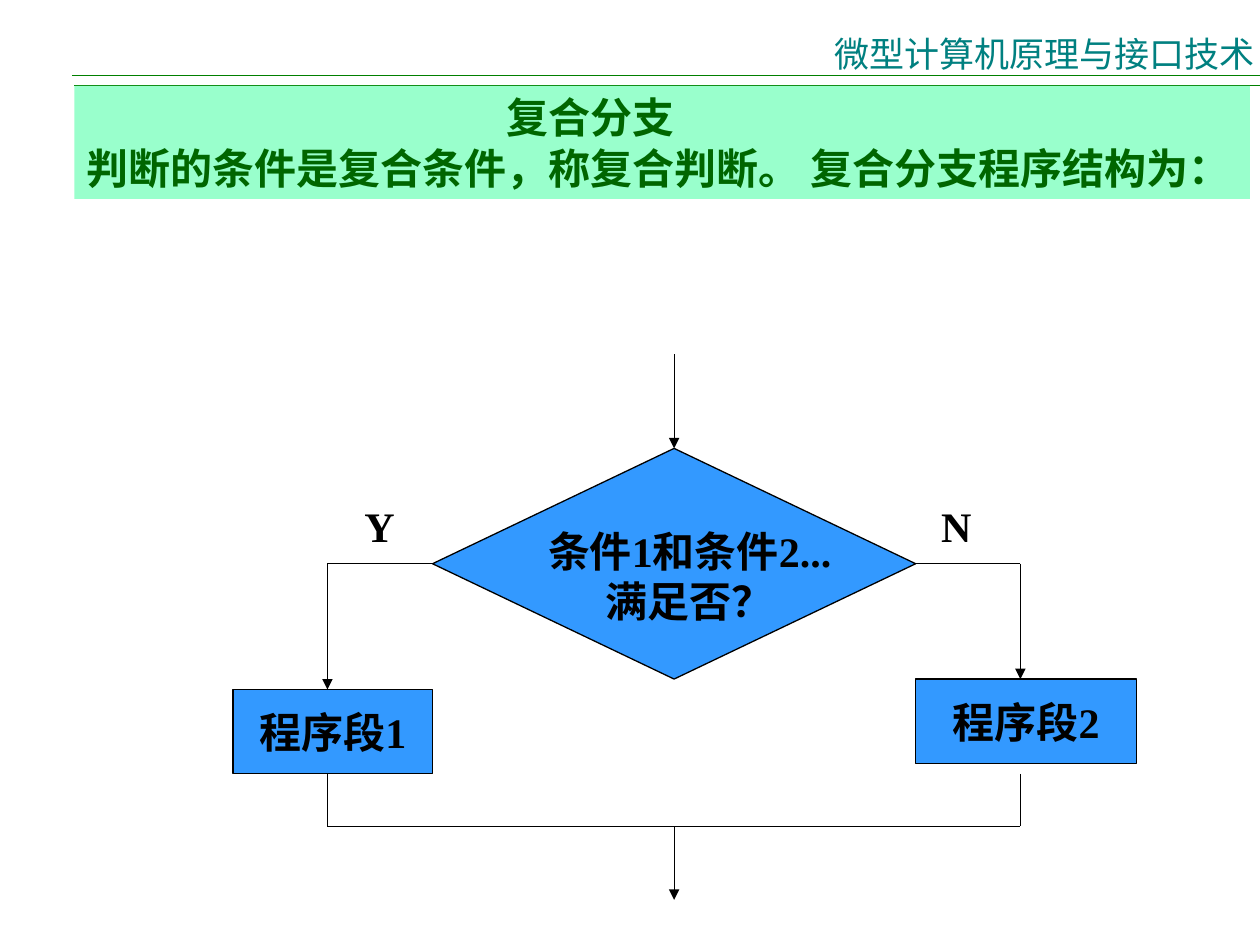
from lxml.etree import SubElement
from pptx import Presentation
from pptx.dml.color import RGBColor
from pptx.enum.shapes import MSO_CONNECTOR, MSO_SHAPE
from pptx.enum.text import MSO_ANCHOR, PP_ALIGN
from pptx.oxml.ns import qn
from pptx.util import Cm, Pt

BLACK = RGBColor(0x00, 0x00, 0x00)
BLUE = RGBColor(0x33, 0x99, 0xFF)
MINT = RGBColor(0x99, 0xFF, 0xCC)
DARK_GREEN = RGBColor(0x00, 0x66, 0x00)
GREEN = RGBColor(0x00, 0x80, 0x00)
TEAL = RGBColor(0x00, 0x80, 0x80)
CHINESE_FONT = "Noto Sans CJK SC"
LATIN_FONT = "Times New Roman"

presentation = Presentation()
presentation.slide_width = Cm(25.4)
presentation.slide_height = Cm(19.05)
slide = presentation.slides.add_slide(presentation.slide_layouts[6])


def add_block(text, left, top, width, height, kind=MSO_SHAPE.RECTANGLE, fill=None,
              outline=None, size=24, color=BLACK, bold=True, font=LATIN_FONT,
              align=PP_ALIGN.CENTER, anchor=MSO_ANCHOR.MIDDLE, wrap=False,
              side_margin=0.25):
    """Add a shape, or a plain text box when it has no fill, and return it."""
    box = [Cm(length) for length in (left, top, width, height)]
    if fill is None:
        shape = slide.shapes.add_textbox(*box)
    else:
        shape = slide.shapes.add_shape(kind, *box)
        shape.shadow.inherit = False
        shape.fill.solid()
        shape.fill.fore_color.rgb = fill
        if outline is None:
            shape.line.fill.background()
        else:
            shape.line.color.rgb = outline
            shape.line.width = Pt(0.75)
    frame = shape.text_frame
    frame.word_wrap = wrap
    frame.vertical_anchor = anchor
    frame.margin_left = frame.margin_right = Cm(side_margin)
    frame.text = text
    for paragraph in frame.paragraphs:
        paragraph.alignment = align
        for run in paragraph.runs:
            run.font.size = Pt(size)
            run.font.bold = bold
            run.font.color.rgb = color
            run.font.name = font
            east_asian = SubElement(run.font._element, qn("a:ea"))
            east_asian.set("typeface", CHINESE_FONT)
    return shape


def add_line(start_x, start_y, end_x, end_y, color=BLACK, arrow=False):
    connector = slide.shapes.add_connector(
        MSO_CONNECTOR.STRAIGHT, Cm(start_x), Cm(start_y), Cm(end_x), Cm(end_y))
    connector.line.color.rgb = color
    connector.line.width = Pt(0.75)
    if arrow:
        SubElement(connector.line._get_or_add_ln(), qn("a:tailEnd")).set("type", "triangle")
    SubElement(connector._element.spPr, qn("a:effectLst"))


# Page header
add_line(1.5, 1.73, 25.4, 1.73, color=GREEN)
add_block("微型计算机原理与接口技术", 16.74, 0.53, 8.64, 0.99, size=20, color=TEAL,
          bold=False, font=CHINESE_FONT, anchor=MSO_ANCHOR.TOP, side_margin=0)
add_line(1.45, 1.52, 25.4, 1.52, color=GREEN)

# Title band
title = add_block("复合分支\n判断的条件是复合条件，称复合判断。 复合分支程序结构为：",
                  1.5, 1.73, 23.7, 2.28, fill=MINT, color=DARK_GREEN,
                  align=PP_ALIGN.LEFT, wrap=True)
heading_format = title.text_frame.paragraphs[0]._p.get_or_add_pPr()
heading_format.set("marL", str(Cm(8.47)))
heading_format.set("indent", "0")

# Flowchart
left_x, center_x, right_x = 6.6, 13.59, 20.57
decision_left, decision_right = 8.72, 18.46
decision_top, decision_height = 9.04, 4.65
branch_y = decision_top + decision_height / 2
left_box_top, right_box_top, box_height = 13.9, 13.69, 1.7
left_box_bottom = left_box_top + box_height
merge_y = 16.66

add_block("", decision_left, decision_top, decision_right - decision_left, decision_height,
          kind=MSO_SHAPE.FLOWCHART_DECISION, fill=BLUE, outline=BLACK)
add_block("条件1和条件2...满足否？", 10.41, 10.46, 6.99, 2.29, wrap=True)
add_line(center_x, 7.14, center_x, decision_top, arrow=True)

branches = [
    ("程序段1", left_x, decision_left, 4.7, 4.02, left_box_top, "Y", 7.09),
    ("程序段2", right_x, decision_right, 18.46, 4.45, right_box_top, "N", 18.72),
]
for text, x, corner_x, box_left, box_width, box_top, answer, answer_left in branches:
    add_line(corner_x, branch_y, x, branch_y)
    add_line(x, branch_y, x, box_top, arrow=True)
    add_block(text, box_left, box_top, box_width, box_height, fill=BLUE, outline=BLACK)
    add_line(x, left_box_bottom, x, merge_y)
    add_block(answer, answer_left, 9.96, 1.12, 1.27)

add_line(left_x, merge_y, right_x, merge_y)
add_line(center_x, merge_y, center_x, 18.14, arrow=True)

presentation.save("out.pptx")
